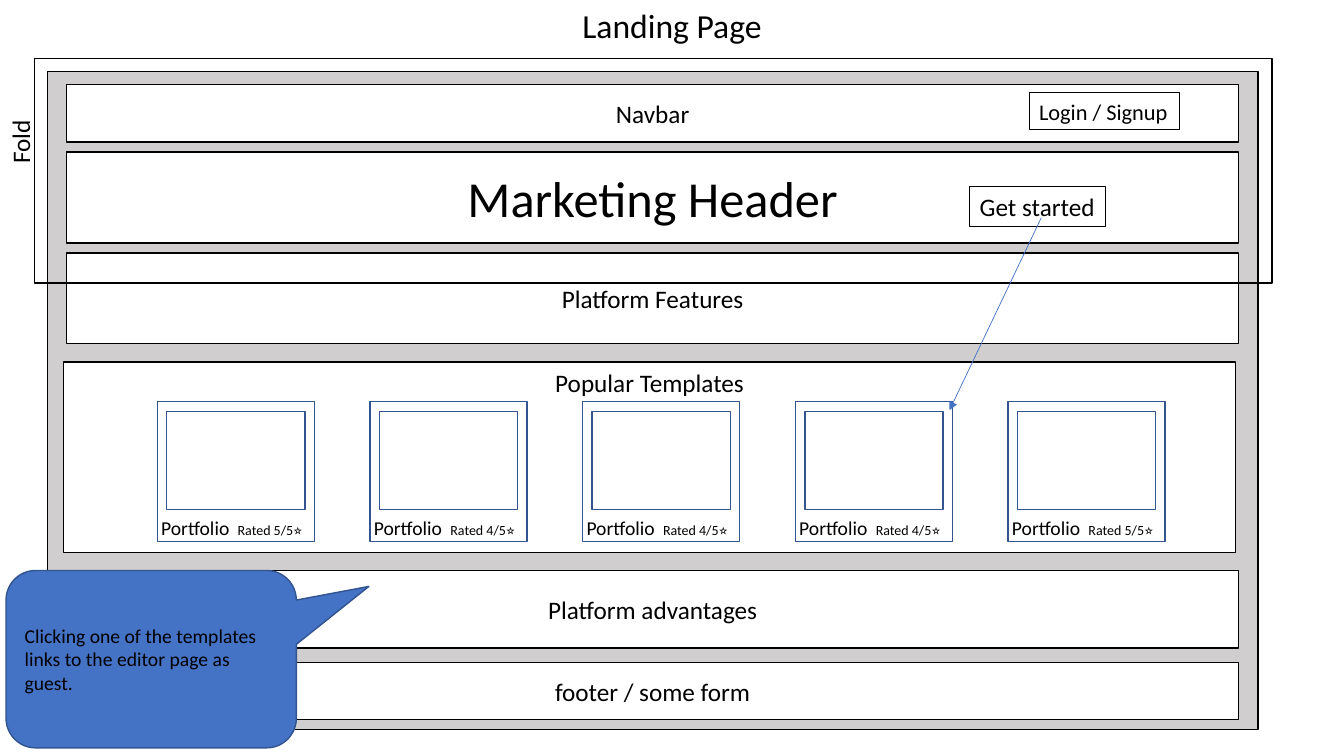
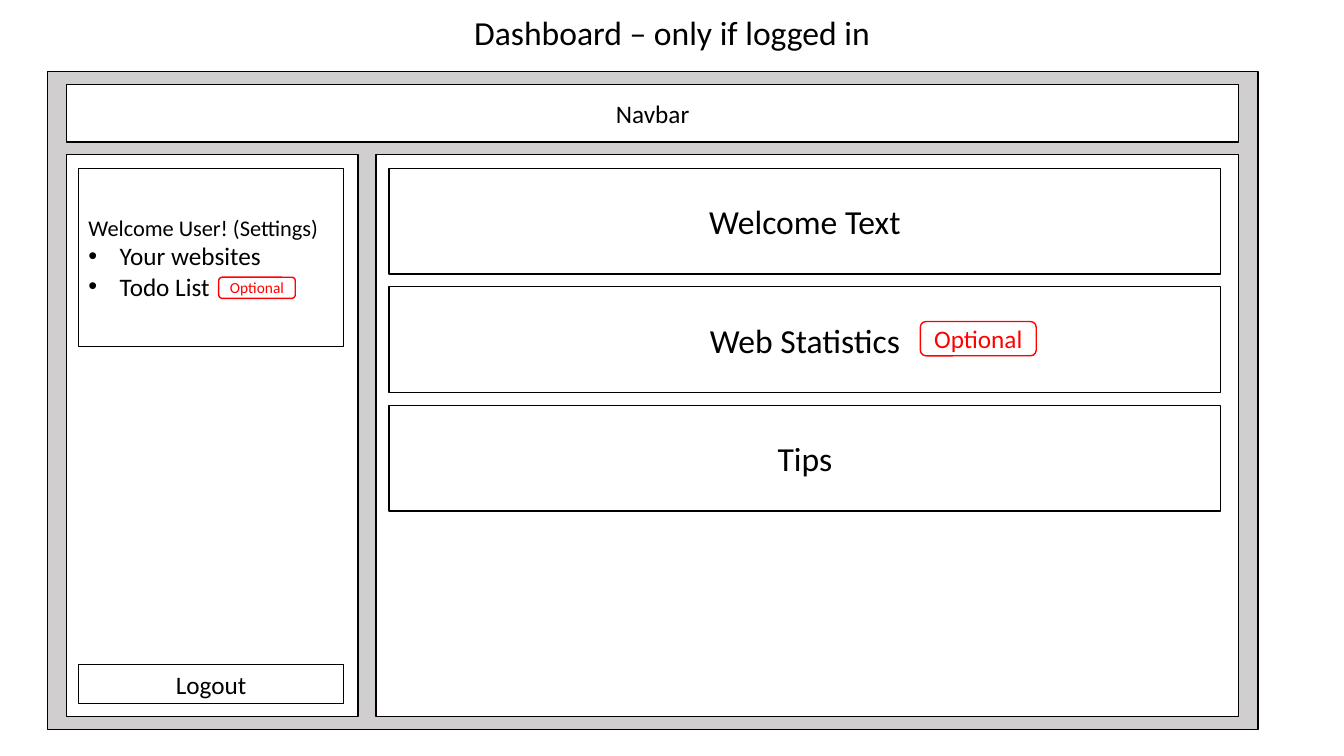
from pptx import Presentation
from pptx.dml.color import RGBColor
from pptx.enum.shapes import MSO_CONNECTOR, MSO_SHAPE
from pptx.enum.text import MSO_ANCHOR, MSO_AUTO_SIZE, PP_ALIGN
from pptx.oxml.ns import qn
from pptx.util import Inches, Pt
from lxml import etree

RECTANGLE = MSO_SHAPE.RECTANGLE
ROUNDED = MSO_SHAPE.ROUNDED_RECTANGLE
CALLOUT = MSO_SHAPE.ROUNDED_RECTANGULAR_CALLOUT
STRAIGHT = MSO_CONNECTOR.STRAIGHT
LEFT, CENTER = PP_ALIGN.LEFT, PP_ALIGN.CENTER
TOP, MIDDLE = MSO_ANCHOR.TOP, MSO_ANCHOR.MIDDLE
NO_AUTOFIT = MSO_AUTO_SIZE.NONE
TITLE_ONLY = 5

COLORS = {
    "black": "000000",
    "white": "FFFFFF",
    "page": "D0CECE",
    "blue": "4472C4",
    "outline": "325491",
    "red": "FF0000",
}
FONT = "Calibri"
CELL = Inches(0.1)
COLUMNS, ROWS = 133.33, 75

BAND_LEFT, BAND_WIDTH = 6.6, 116.3
CARD_LEFT, CARD_TOP, CARD_PITCH = 15.6, 39.85, 21.1
CARD_RATINGS = [5, 4, 4, 4, 5]
LANDING_BANDS = [
    ("Marketing Header", 15.1, 9, 36),
    ("Platform Features", 25.1, 9, 18),
    ("Platform advantages", 56.6, 7.7, 18),
    ("footer / some form", 65.7, 5.7, 18),
]
DASHBOARD_SECTIONS = ["Welcome Text", "Web Statistics", "Tips"]
SECTION_TOP, SECTION_PITCH = 16.7, 11.75


def cells(*counts):
    return [round(count * CELL) for count in counts]


def rgb(name):
    return RGBColor.from_string(COLORS[name])


def write(shape, text, size=18, color="black", align=CENTER, anchor=MIDDLE, wrap=True):
    frame = shape.text_frame
    frame.text = text
    frame.auto_size = NO_AUTOFIT
    frame.word_wrap = wrap
    frame.vertical_anchor = anchor
    for paragraph in frame.paragraphs:
        paragraph.alignment = align
        paragraph.font.name = FONT
        paragraph.font.size = Pt(size)
        paragraph.font.color.rgb = rgb(color)


def add_box(slide, area, text="", kind=RECTANGLE, fill=None, line="black", weight=1, **text_format):
    shape = slide.shapes.add_shape(kind, *cells(*area))
    shape.shadow.inherit = False
    if fill:
        shape.fill.solid()
        shape.fill.fore_color.rgb = rgb(fill)
    else:
        shape.fill.background()
    shape.line.color.rgb = rgb(line)
    shape.line.width = Pt(weight)
    if text:
        write(shape, text, **text_format)
    return shape


def add_label(slide, area, text, size, rotation=0):
    label = slide.shapes.add_textbox(*cells(*area))
    label.rotation = rotation
    write(label, text, size=size, align=LEFT, anchor=TOP, wrap=False)


def add_band(slide, top, height, text, size=18):
    add_box(slide, (BAND_LEFT, top, BAND_WIDTH, height), text, fill="white", size=size)


def add_button(slide, area, text, size):
    add_box(slide, area, text, weight=0.75, size=size, align=LEFT, anchor=TOP, wrap=False)


def add_optional_tag(slide, area, size):
    add_box(slide, area, "Optional", kind=ROUNDED, fill="white", line="red",
            size=size, color="red", wrap=False)


def add_arrow(slide, start, end):
    arrow = slide.shapes.add_connector(STRAIGHT, *cells(*start, *end))
    arrow.line.color.rgb = rgb("blue")
    arrow.line.width = Pt(0.5)
    properties = arrow.element.spPr
    etree.SubElement(properties.find(qn("a:ln")), qn("a:tailEnd"), type="triangle")
    etree.SubElement(properties, qn("a:effectLst"))


def add_bullet(paragraph):
    properties = paragraph._p.get_or_add_pPr()
    properties.set("marL", str(Inches(0.31)))
    properties.set("indent", str(-Inches(0.31)))
    etree.SubElement(properties, qn("a:buFont"), typeface="Arial")
    etree.SubElement(properties, qn("a:buChar"), char="•")
    paragraph.font.size = Pt(18)


def add_template_card(slide, index, rating):
    left = CARD_LEFT + index * CARD_PITCH
    add_box(slide, (left, CARD_TOP, 15.6, 13.9), line="outline")
    add_box(slide, (left + 0.95, CARD_TOP + 1, 13.7, 9.7), line="outline")
    add_label(slide, (left - 0.6, CARD_TOP + 10.8, 8.9, 3.4), "Portfolio", 14)
    add_label(slide, (left + 7, CARD_TOP + 11.4, 9.6, 2.7), f"Rated {rating}/5⭐", 10)


def add_page(presentation, title, title_top):
    slide = presentation.slides.add_slide(presentation.slide_layouts[TITLE_ONLY])
    heading = slide.shapes.title
    width, height = 50, 5
    heading.left, heading.top, heading.width, heading.height = cells(
        (COLUMNS - width) / 2, title_top, width, height)
    write(heading, title, size=24)
    add_box(slide, (4.7, 7.1, 120.1, 65.3), fill="page")
    add_band(slide, 8.4, 5.7, "Navbar")
    return slide


def build_landing(presentation):
    slide = add_page(presentation, "Landing Page", 0)
    add_box(slide, (6.3, 35.9, BAND_WIDTH, 18.9), "Popular Templates", fill="white", anchor=TOP)
    for text, top, height, size in LANDING_BANDS:
        add_band(slide, top, height, text, size)
    add_box(slide, (3.4, 5.8, 122.8, 22.3))
    add_label(slide, (-1.2, 12, 6.4, 4), "Fold", 18, rotation=270)
    for index, rating in enumerate(CARD_RATINGS):
        add_template_card(slide, index, rating)
    add_button(slide, (102.1, 9.2, 14.9, 3.7), "Login / Signup", 16)
    add_button(slide, (96.2, 18.5, 13.5, 4), "Get started", 18)
    add_arrow(slide, (103.3, 21.6), (94.2, 40.7))
    callout = add_box(slide, (0.6, 56.6, 28.8, 17.6),
                      "Clicking one of the templates links to the editor page as guest.",
                      kind=CALLOUT, fill="blue", line="outline", size=14, align=LEFT)
    callout.adjustments[0] = 0.75
    callout.adjustments[1] = -0.41


def build_dashboard(presentation):
    slide = add_page(presentation, "Dashboard – only if logged in", 0.7)
    for left, width in ((37.3, 85.6), (BAND_LEFT, 28.9)):
        add_box(slide, (left, 15.3, width, 55.8), fill="white")
    for index, text in enumerate(DASHBOARD_SECTIONS):
        add_box(slide, (38.6, SECTION_TOP + index * SECTION_PITCH, 82.5, 10.5), text, size=24)
    menu = add_box(slide, (7.8, 16.7, 26.3, 17.7),
                   "Welcome User! (Settings)\nYour websites\nTodo List", size=16, align=LEFT)
    for paragraph in menu.text_frame.paragraphs[1:]:
        add_bullet(paragraph)
    add_box(slide, (7.8, 65.9, 26.3, 3.9), "Logout")
    add_optional_tag(slide, (91.3, 31.9, 11.5, 3.4), 18)
    add_optional_tag(slide, (21.7, 27.5, 7.6, 2.1), 11)


def main():
    presentation = Presentation()
    presentation.slide_width, presentation.slide_height = cells(COLUMNS, ROWS)
    build_landing(presentation)
    build_dashboard(presentation)
    presentation.save("out.pptx")


main()
